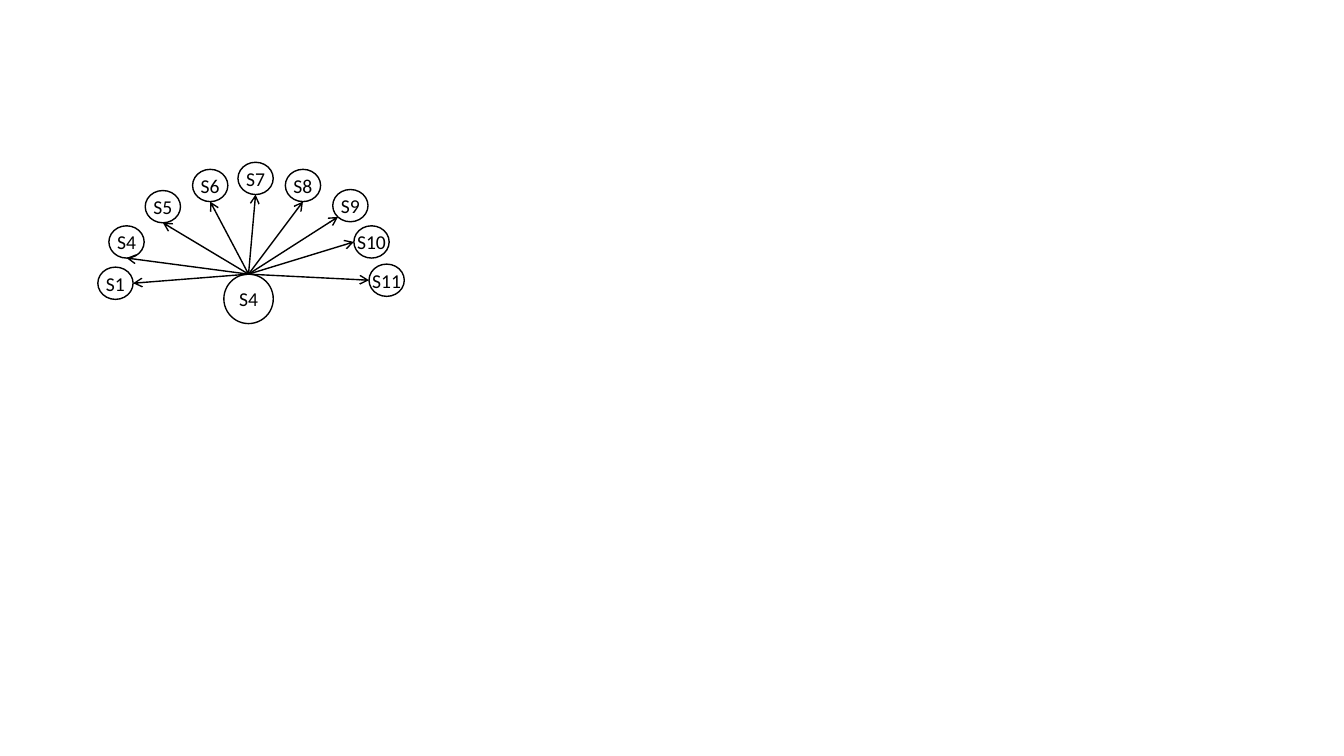
from dataclasses import dataclass

from pptx import Presentation
from pptx.dml.color import RGBColor
from pptx.enum.shapes import MSO_CONNECTOR, MSO_SHAPE
from pptx.enum.text import MSO_ANCHOR, PP_ALIGN
from pptx.oxml.ns import qn
from pptx.util import Inches, Pt
from lxml import etree

OVAL = MSO_SHAPE.OVAL
STRAIGHT = MSO_CONNECTOR.STRAIGHT
MIDDLE = MSO_ANCHOR.MIDDLE
CENTER = PP_ALIGN.CENTER


@dataclass(frozen=True)
class Theme:
    ink: RGBColor = RGBColor(0, 0, 0)
    font: str = "Calibri"
    label_size: int = 14
    line_width: int = 1


THEME = Theme()

FAN_BOX = (0.97, 1.61, 3.04, 1.6)
FAN_COLUMNS, FAN_ROWS = 304, 160
HUB = ("S4", 125, 111)
HUB_SIZE = (49, 49)
NODE_SIZE = (35, 32)

RIGHT, BOTTOM, LEFT, LOWER_LEFT = (1, 0.5), (0.5, 1), (0, 0.5), (0.15, 0.85)
NODES = [
    ("S1", 0, 104, RIGHT),
    ("S4", 11, 63, BOTTOM),
    ("S5", 47, 28, BOTTOM),
    ("S6", 94, 7, BOTTOM),
    ("S7", 139, 0, BOTTOM),
    ("S8", 186, 7, BOTTOM),
    ("S9", 233, 27, LOWER_LEFT),
    ("S10", 254, 63, LEFT),
    ("S11", 269, 101, LEFT),
]


def write_text(shape, text, *, size, color, font, align=CENTER, anchor=MIDDLE):
    frame = shape.text_frame
    frame.word_wrap = False
    frame.vertical_anchor = anchor
    frame.margin_left = frame.margin_right = 0
    frame.margin_top = frame.margin_bottom = 0
    paragraph = frame.paragraphs[0]
    paragraph.alignment = align
    run = paragraph.add_run()
    run.text = text
    run.font.size = Pt(size)
    run.font.name = font
    run.font.color.rgb = color


def style_line(line):
    line.color.rgb = THEME.ink
    line.width = Pt(THEME.line_width)


def add_node(slide, text, left, top, width, height):
    node = slide.shapes.add_shape(OVAL, left, top, width, height)
    node.shadow.inherit = False
    node.fill.background()
    style_line(node.line)
    write_text(node, text, size=THEME.label_size, color=THEME.ink, font=THEME.font)
    return node


def add_arrow(slide, start, end):
    arrow = slide.shapes.add_connector(STRAIGHT, *start, *end)
    style_line(arrow.line)
    etree.SubElement(arrow.line._get_or_add_ln(), qn("a:tailEnd"), type="arrow")
    etree.SubElement(arrow._element.spPr, qn("a:effectLst"))


def point_on(shape, across, down):
    return (
        round(shape.left + across * shape.width),
        round(shape.top + down * shape.height),
    )


def add_fan(slide, box):
    left, top, width, height = box
    column, row = width / FAN_COLUMNS, height / FAN_ROWS

    def place(text, x, y, size):
        return add_node(
            slide,
            text,
            Inches(left + x * column),
            Inches(top + y * row),
            Inches(size[0] * column),
            Inches(size[1] * row),
        )

    hub = place(*HUB, HUB_SIZE)
    origin = point_on(hub, 0.5, 0)
    for text, x, y, target in NODES:
        node = place(text, x, y, NODE_SIZE)
        add_arrow(slide, origin, point_on(node, *target))


def main():
    presentation = Presentation()
    presentation.slide_width = Inches(13.33)
    presentation.slide_height = Inches(7.5)
    slide = presentation.slides.add_slide(presentation.slide_layouts[6])
    add_fan(slide, FAN_BOX)
    presentation.save("out.pptx")


if __name__ == "__main__":
    main()
